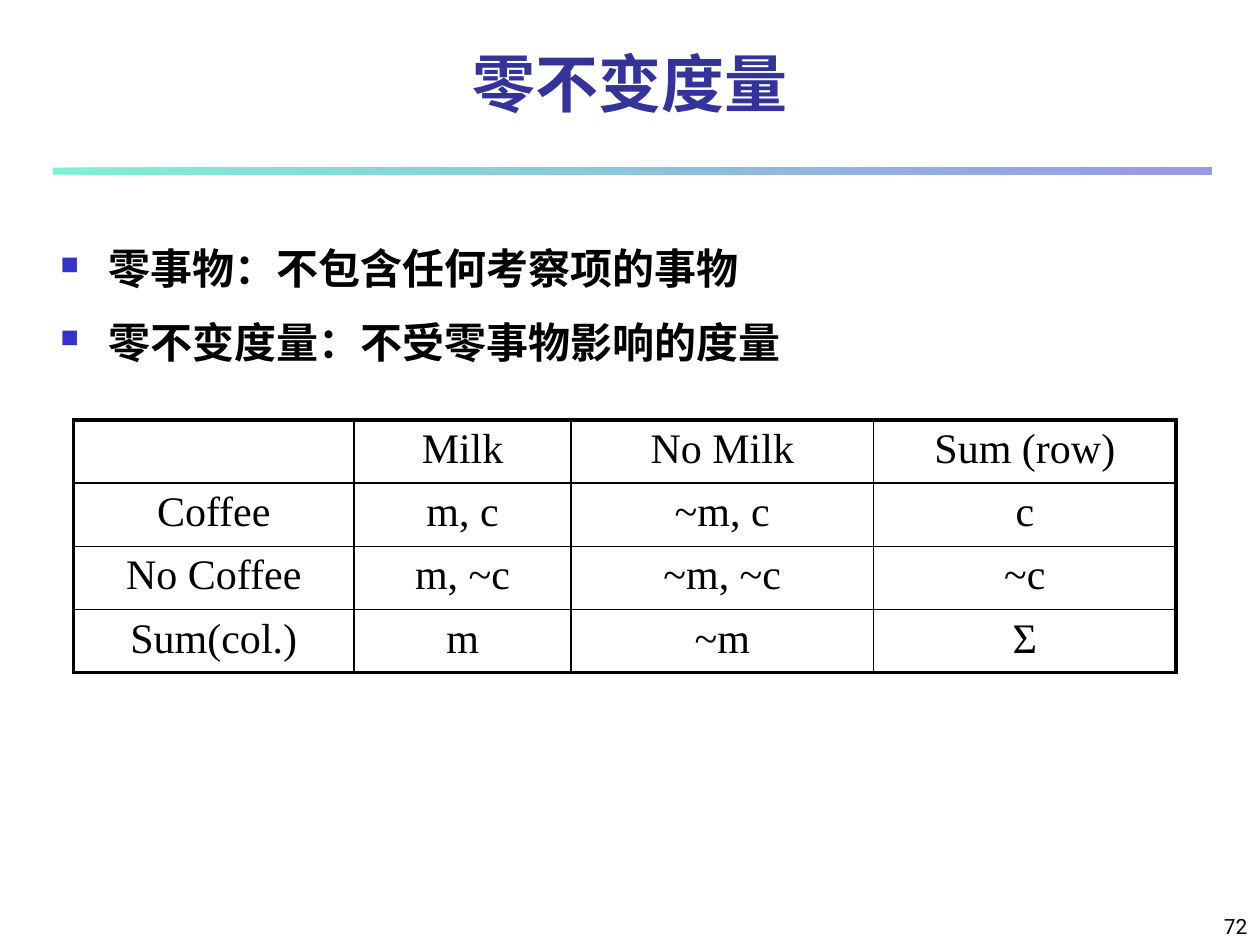
import pptx
import pptx.util
import pptx.dml.color
import pptx.enum.shapes
import pptx.enum.text
import pptx.oxml.ns
from lxml import etree
from pptx.util import Cm

COLOURS = {
    "text": "000000",
    "title": "333399",
    "bullet": "3333CC",
    "rule_start": "00E4A8",
    "rule_end": "3333CC",
}
SERIF = "Times New Roman"
ALIGN = pptx.enum.text.PP_ALIGN
ANCHOR = pptx.enum.text.MSO_ANCHOR

DEFINITIONS = [
    "零事物：不包含任何考察项的事物",
    "零不变度量：不受零事物影响的度量",
]
CONTINGENCY = [
    ["", "Milk", "No Milk", "Sum (row)"],
    ["Coffee", "m, c", "~m, c", "c"],
    ["No Coffee", "m, ~c", "~m, ~c", "~c"],
    ["Sum(col.)", "m", "~m", "Σ"],
]
COLUMN_WIDTHS = [5.66, 4.37, 6.1, 6.1]
ROW_HEIGHT = 1.19


def rgb(name):
    return pptx.dml.color.RGBColor.from_string(COLOURS[name])


def add_xml(parent, tag, **attributes):
    return etree.SubElement(parent, pptx.oxml.ns.qn(tag), attributes)


def style_paragraph(paragraph, size, font, colour, align, bold=False):
    paragraph.alignment = align
    for run in paragraph.runs:
        run.font.size = pptx.util.Pt(size)
        run.font.name = font
        run.font.bold = bold
        run.font.color.rgb = rgb(colour)


def add_text(slide, text, left, top, width, height, anchor=ANCHOR.TOP):
    frame = slide.shapes.add_textbox(Cm(left), Cm(top), Cm(width), Cm(height)).text_frame
    frame.word_wrap = True
    frame.vertical_anchor = anchor
    frame.text = text
    return frame.paragraphs


def add_gradient_rule(slide):
    rule = slide.shapes.add_shape(
        pptx.enum.shapes.MSO_SHAPE.RECTANGLE, Cm(1.06), Cm(3.38), Cm(23.37), Cm(0.14))
    rule.shadow.inherit = False
    rule.line.fill.background()
    rule.fill.gradient()
    rule.fill.gradient_angle = 0
    for stop, colour in zip(rule.fill.gradient_stops, ("rule_start", "rule_end")):
        stop.color.rgb = rgb(colour)
    for colour_element in rule.fill._xPr.iter(pptx.oxml.ns.qn("a:srgbClr")):
        add_xml(colour_element, "a:alpha", val="50000")


def add_square_bullet(paragraph):
    """Give the paragraph a hanging indent and a small coloured square."""
    properties = paragraph._p.get_or_add_pPr()
    indent = Cm(0.97)
    properties.set("marL", str(indent))
    properties.set("indent", str(-indent))
    bullet_colour = add_xml(properties, "a:buClr")
    add_xml(bullet_colour, "a:srgbClr", val=COLOURS["bullet"])
    add_xml(properties, "a:buSzPct", val="60000")
    add_xml(properties, "a:buChar", char="■")


def add_definitions(slide):
    for paragraph in add_text(slide, "\n".join(DEFINITIONS), 0.97, 4.47, 23.85, 13.54):
        style_paragraph(paragraph, 24, SERIF, "text", ALIGN.JUSTIFY, bold=True)
        paragraph.line_spacing = 1.3
        paragraph.space_before = pptx.util.Pt(4.8)
        add_square_bullet(paragraph)


def set_borders(cell, outer_sides):
    """Draw thin borders, with thick ones on the sides at the table's edge."""
    properties = cell._tc.get_or_add_tcPr()
    for position, side in enumerate("LRTB"):
        width = pptx.util.Pt(2.25 if side in outer_sides else 1)
        line = etree.Element(pptx.oxml.ns.qn(f"a:ln{side}"), w=str(width))
        fill = add_xml(line, "a:solidFill")
        add_xml(fill, "a:srgbClr", val=COLOURS["text"])
        properties.insert(position, line)


def add_contingency_table(slide):
    row_count, column_count = len(CONTINGENCY), len(COLUMN_WIDTHS)
    table = slide.shapes.add_table(
        row_count, column_count, Cm(1.48), Cm(8.47),
        Cm(sum(COLUMN_WIDTHS)), Cm(ROW_HEIGHT * row_count)).table
    for column, width in zip(table.columns, COLUMN_WIDTHS):
        column.width = Cm(width)
    for r, labels in enumerate(CONTINGENCY):
        table.rows[r].height = Cm(ROW_HEIGHT)
        for c, label in enumerate(labels):
            cell = table.cell(r, c)
            cell.fill.background()
            cell.text = label
            paragraph = cell.text_frame.paragraphs[0]
            style_paragraph(paragraph, 24, SERIF, "text", ALIGN.CENTER)
            edges = {"L": c == 0, "R": c == column_count - 1,
                     "T": r == 0, "B": r == row_count - 1}
            set_borders(cell, [side for side, outer in edges.items() if outer])


def main():
    presentation = pptx.Presentation()
    presentation.slide_width, presentation.slide_height = Cm(25.4), Cm(19.05)
    slide = presentation.slides.add_slide(presentation.slide_layouts[6])

    add_gradient_rule(slide)
    page_number = add_text(slide, "72", 20.12, 17.98, 5.28, 1.07, ANCHOR.BOTTOM)[0]
    style_paragraph(page_number, 12, "Roboto", "text", ALIGN.RIGHT)
    title = add_text(slide, "零不变度量", 0, 0.84, 25.4, 1.7, ANCHOR.BOTTOM)[0]
    style_paragraph(title, 36, "Cabin", "title", ALIGN.CENTER, bold=True)
    add_definitions(slide)
    add_contingency_table(slide)

    presentation.save("out.pptx")


if __name__ == "__main__":
    main()
